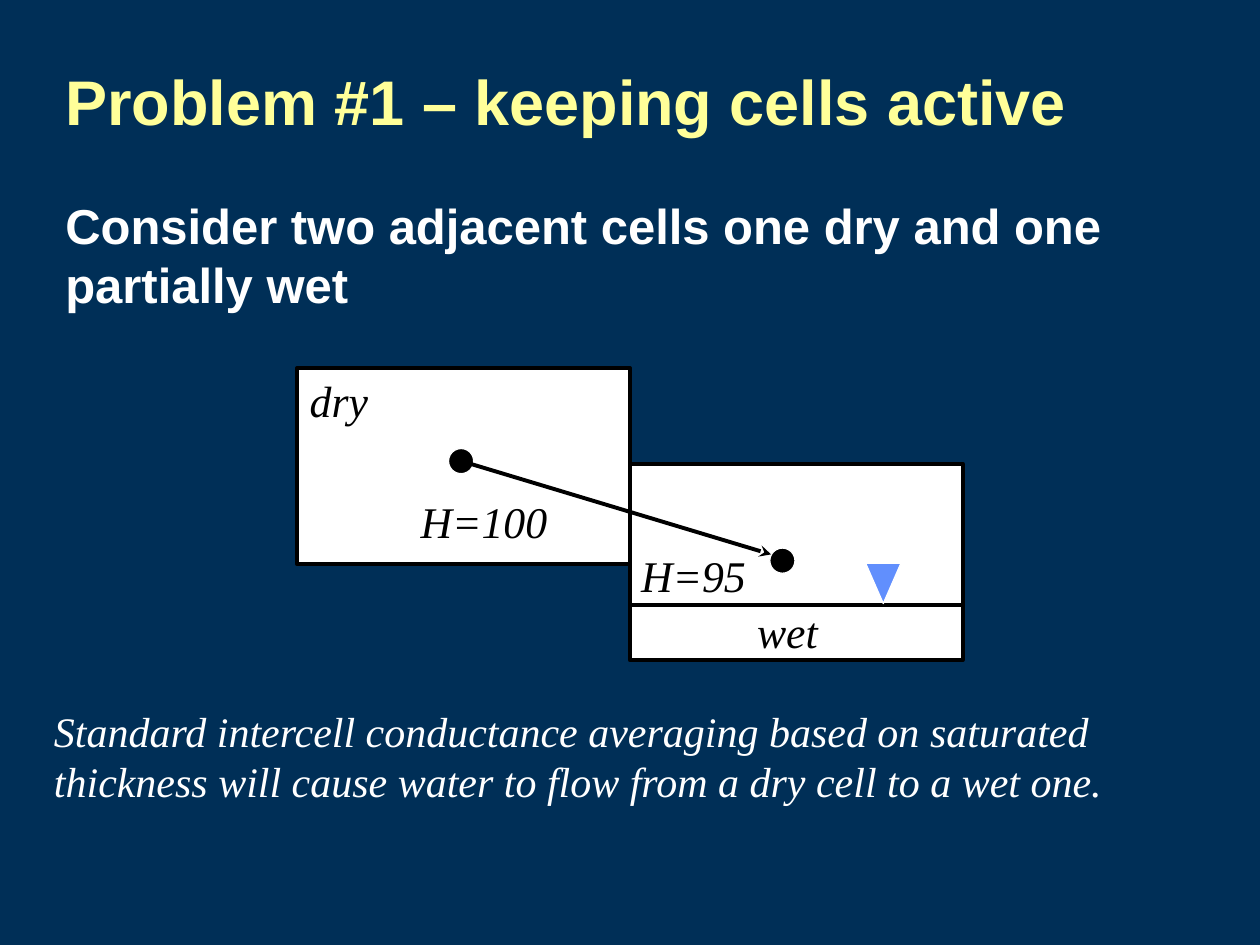
from pptx import Presentation
from pptx.dml.color import RGBColor
from pptx.enum.shapes import MSO_CONNECTOR, MSO_SHAPE
from pptx.enum.text import MSO_ANCHOR
from pptx.util import Inches, Pt
from lxml.etree import SubElement
from pptx.oxml.ns import qn

COLS, ROWS = 100, 75
SANS, SERIF = "Arial", "Times New Roman"
NAVY, CREAM, WHITE, BLACK, BLUE = "002F57", "FFFF99", "FFFFFF", "000000", "618FFD"

prs = Presentation()
prs.slide_width, prs.slide_height = Inches(10), Inches(7.5)


def rgb(color):
    return RGBColor.from_string(color)


def grid(x, y):
    return round(x * prs.slide_width / COLS), round(y * prs.slide_height / ROWS)


def add_text(tf, text, size, font, color, bold=False, italic=False):
    r = tf.paragraphs[0].add_run()
    r.text = text
    r.font.size, r.font.name = Pt(size), font
    r.font.bold, r.font.italic = bold, italic
    r.font.color.rgb = rgb(color)


def text_box(s, box, text, size, font, color, anchor=MSO_ANCHOR.TOP, wrap=True, **style):
    x, y, w, h = box
    tf = s.shapes.add_textbox(*grid(x, y), *grid(w, h)).text_frame
    tf.word_wrap, tf.vertical_anchor = wrap, anchor
    add_text(tf, text, size, font, color, **style)


def label(s, box, text):
    text_box(s, box, text, 25, SERIF, BLACK, wrap=False, italic=True)


def shape(s, kind, box, fill, line, width):
    x, y, w, h = box
    sp = s.shapes.add_shape(kind, *grid(x, y), *grid(w, h))
    sp.shadow.inherit = False
    sp.fill.solid()
    sp.fill.fore_color.rgb = rgb(fill)
    sp.line.color.rgb = rgb(line)
    sp.line.width = Pt(width)
    return sp


def line(s, start, end, arrow=False):
    c = s.shapes.add_connector(MSO_CONNECTOR.STRAIGHT, *grid(*start), *grid(*end))
    c.line.color.rgb = rgb(BLACK)
    c.line.width = Pt(2.25)
    if arrow:
        SubElement(c.line._get_or_add_ln(), qn("a:tailEnd"), type="stealth")
    SubElement(c._element.spPr, qn("a:effectLst"))


def cell_diagram(s, box):
    x, y, w, h = box
    cell_w, cell_h = w / 2, 15.6
    wet_x, wet_y = x + cell_w, y + h - cell_h
    water_y = wet_y + 11.2

    dry = shape(s, MSO_SHAPE.RECTANGLE, (x, y, cell_w, cell_h), WHITE, BLACK, 2.25)
    dry.text_frame.vertical_anchor = MSO_ANCHOR.TOP
    dry.text_frame.paragraphs[0].alignment = 1
    add_text(dry.text_frame, "dry", 25, SERIF, BLACK, italic=True)
    shape(s, MSO_SHAPE.RECTANGLE, (wet_x, wet_y, cell_w, cell_h), WHITE, BLACK, 2.25)

    for node_x, node_y in ((x + 12, y + 6.4), (wet_x + 11.1, wet_y + 6.7)):
        shape(s, MSO_SHAPE.OVAL, (node_x, node_y, 2, 2), BLACK, WHITE, 0.75)

    line(s, (wet_x, water_y), (wet_x + cell_w, water_y))
    marker = shape(s, MSO_SHAPE.ISOSCELES_TRIANGLE,
                   (wet_x + 18.7, water_y - 3.3, 2.8, 3.2), BLUE, WHITE, 0.75)
    marker.rotation = 180

    label(s, (wet_x + 9.1, wet_y + 10.7, 6.9, 5.2), "wet")
    label(s, (x + 8.8, y + 9.6, 12.2, 5.2), "H=100")
    label(s, (wet_x - 0.1, wet_y + 6.3, 10.4, 5.2), "H=95")
    line(s, (x + 13.7, y + 7.6), (wet_x + 11.2, wet_y + 7.2), arrow=True)


def build_slide():
    s = prs.slides.add_slide(prs.slide_layouts[6])
    s.background.fill.solid()
    s.background.fill.fore_color.rgb = rgb(NAVY)
    text_box(s, (4.2, 1.7, 90.8, 12.5), "Problem #1 – keeping cells active",
             36, SANS, CREAM, MSO_ANCHOR.MIDDLE, bold=True)
    text_box(s, (4.2, 15, 90.8, 49.2),
             "Consider two adjacent cells one dry and one partially wet",
             28, SANS, WHITE, bold=True)
    cell_diagram(s, (23.6, 29.2, 52.8, 23.2))
    text_box(s, (3.3, 55.5, 94.2, 13.6),
             "Standard intercell conductance averaging based on saturated thickness "
             "will cause water to flow from a dry cell to a wet one.",
             24, SERIF, WHITE, italic=True)


if __name__ == "__main__":
    build_slide()
    prs.save("out.pptx")
